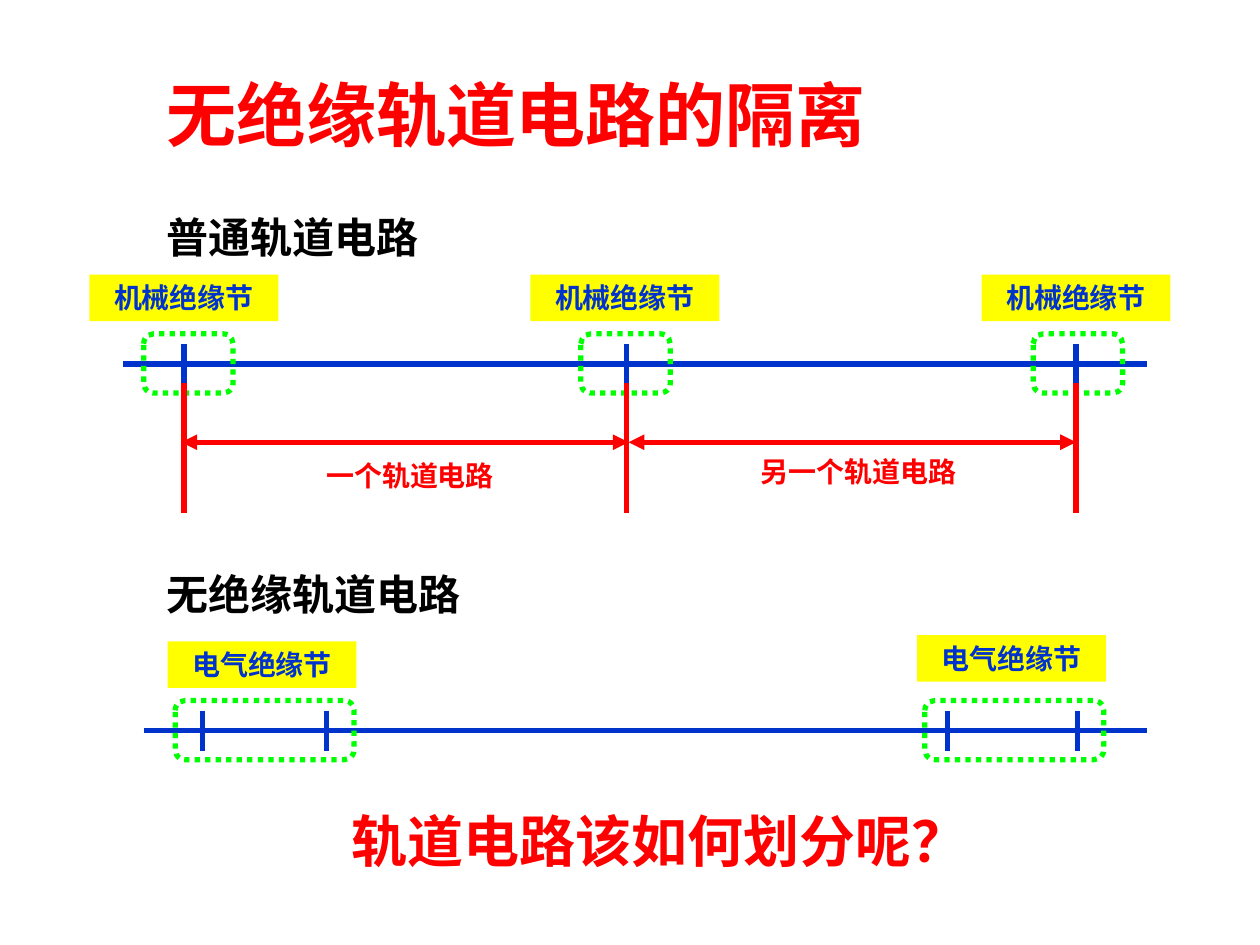
from dataclasses import dataclass
from pptx import Presentation
from pptx.dml.color import RGBColor
from pptx.enum.dml import MSO_LINE
from pptx.enum.shapes import MSO_CONNECTOR, MSO_SHAPE
from pptx.enum.text import MSO_ANCHOR, MSO_AUTO_SIZE, PP_ALIGN
from pptx.oxml.ns import qn
from pptx.util import Inches, Pt
from lxml.etree import SubElement


@dataclass(frozen=True)
class Theme:
    font: str = "Arial"
    red: RGBColor = RGBColor(0xFF, 0x00, 0x00)
    blue: RGBColor = RGBColor(0x00, 0x33, 0xCC)
    green: RGBColor = RGBColor(0x00, 0xFF, 0x00)
    yellow: RGBColor = RGBColor(0xFF, 0xFF, 0x00)
    black: RGBColor = RGBColor(0x00, 0x00, 0x00)
    title_size: Pt = Pt(40)
    question_size: Pt = Pt(32)
    heading_size: Pt = Pt(24)
    label_size: Pt = Pt(16)
    stroke: Pt = Pt(3)


class TrackSlide:
    def __init__(self, presentation, theme):
        self.theme = theme
        self.slide = presentation.slides.add_slide(presentation.slide_layouts[5])

    def set_words(self, shape, words, size, color, align, fit):
        frame = shape.text_frame
        frame.text = words
        frame.word_wrap = True
        frame.auto_size = fit
        frame.vertical_anchor = MSO_ANCHOR.TOP
        paragraph = frame.paragraphs[0]
        paragraph.alignment = align
        paragraph.font.name = self.theme.font
        paragraph.font.size = size
        paragraph.font.bold = True
        paragraph.font.color.rgb = color

    def title(self, words, left, top, width, height):
        title = self.slide.shapes.title
        title.left, title.top = Inches(left), Inches(top)
        title.width, title.height = Inches(width), Inches(height)
        self.set_words(title, words, self.theme.title_size, self.theme.red,
                       PP_ALIGN.LEFT, MSO_AUTO_SIZE.NONE)

    def text(self, words, left, top, width, height, size, color, align=PP_ALIGN.CENTER):
        box = self.slide.shapes.add_textbox(
            Inches(left), Inches(top), Inches(width), Inches(height))
        self.set_words(box, words, size, color, align, MSO_AUTO_SIZE.SHAPE_TO_FIT_TEXT)

    def heading(self, words, top):
        self.text(words, 1.22, top, 2.81, 0.5, self.theme.heading_size,
                  self.theme.black, PP_ALIGN.LEFT)

    def label(self, words, left, top):
        label = self.slide.shapes.add_shape(
            MSO_SHAPE.RECTANGLE, Inches(left), Inches(top), Inches(1.5), Inches(0.37))
        label.shadow.inherit = False
        label.fill.solid()
        label.fill.fore_color.rgb = self.theme.yellow
        label.line.fill.background()
        self.set_words(label, words, self.theme.label_size, self.theme.blue,
                       PP_ALIGN.CENTER, MSO_AUTO_SIZE.SHAPE_TO_FIT_TEXT)

    def joint_frame(self, left, top, width):
        frame = self.slide.shapes.add_shape(
            MSO_SHAPE.ROUNDED_RECTANGLE, Inches(left), Inches(top),
            Inches(width), Inches(0.47))
        frame.shadow.inherit = False
        frame.fill.background()
        frame.line.color.rgb = self.theme.green
        frame.line.width = self.theme.stroke
        frame.line.dash_style = MSO_LINE.ROUND_DOT

    def line(self, x1, y1, x2, y2, color, arrows=False):
        line = self.slide.shapes.add_connector(
            MSO_CONNECTOR.STRAIGHT, Inches(x1), Inches(y1), Inches(x2), Inches(y2))
        line.line.color.rgb = color
        line.line.width = self.theme.stroke
        properties = line._element.spPr
        if arrows:
            outline = properties.find(qn("a:ln"))
            for end in ("a:headEnd", "a:tailEnd"):
                SubElement(outline, qn(end), type="triangle")
        SubElement(properties, qn("a:effectLst"))

    def rail(self, left, right, y, joints):
        self.line(left, y, right, y, self.theme.blue)
        for x in joints:
            self.line(x, y - 0.16, x, y + 0.16, self.theme.blue)


def main():
    presentation = Presentation()
    presentation.slide_width, presentation.slide_height = Inches(10), Inches(7.5)
    theme = Theme()
    page = TrackSlide(presentation, theme)
    page.title("无绝缘轨道电路的隔离", 1.22, 0.52, 7.24, 0.8)

    page.heading("普通轨道电路", 1.63)
    mechanical_joints = (1.46, 4.97, 8.54)
    page.rail(0.98, 9.1, 2.89, mechanical_joints)
    for joint, frame_left, label_left in zip(
            mechanical_joints, (1.14, 4.61, 8.2), (0.71, 4.21, 7.79)):
        page.joint_frame(frame_left, 2.65, 0.71)
        page.label("机械绝缘节", label_left, 2.18)
        page.line(joint, 3.04, joint, 4.07, theme.red)
    for section, start, text_left, text_top in (
            ("一个轨道电路", 1.44, 2.31, 3.59), ("另一个轨道电路", 4.99, 5.87, 3.56)):
        page.line(start, 3.51, start + 3.55, 3.51, theme.red, arrows=True)
        page.text(section, text_left, text_top, 1.89, 0.37, theme.label_size, theme.red)

    page.heading("无绝缘轨道电路", 4.46)
    page.rail(1.14, 9.1, 5.8, (1.61, 2.59, 7.52, 8.55))
    for frame_left, label_left, label_top in ((1.39, 1.33, 5.09), (7.34, 7.28, 5.04)):
        page.joint_frame(frame_left, 5.56, 1.42)
        page.label("电气绝缘节", label_left, label_top)

    page.text("轨道电路该如何划分呢？", 2.48, 6.35, 5.51, 0.64,
              theme.question_size, theme.red)
    presentation.save("out.pptx")


if __name__ == "__main__":
    main()
